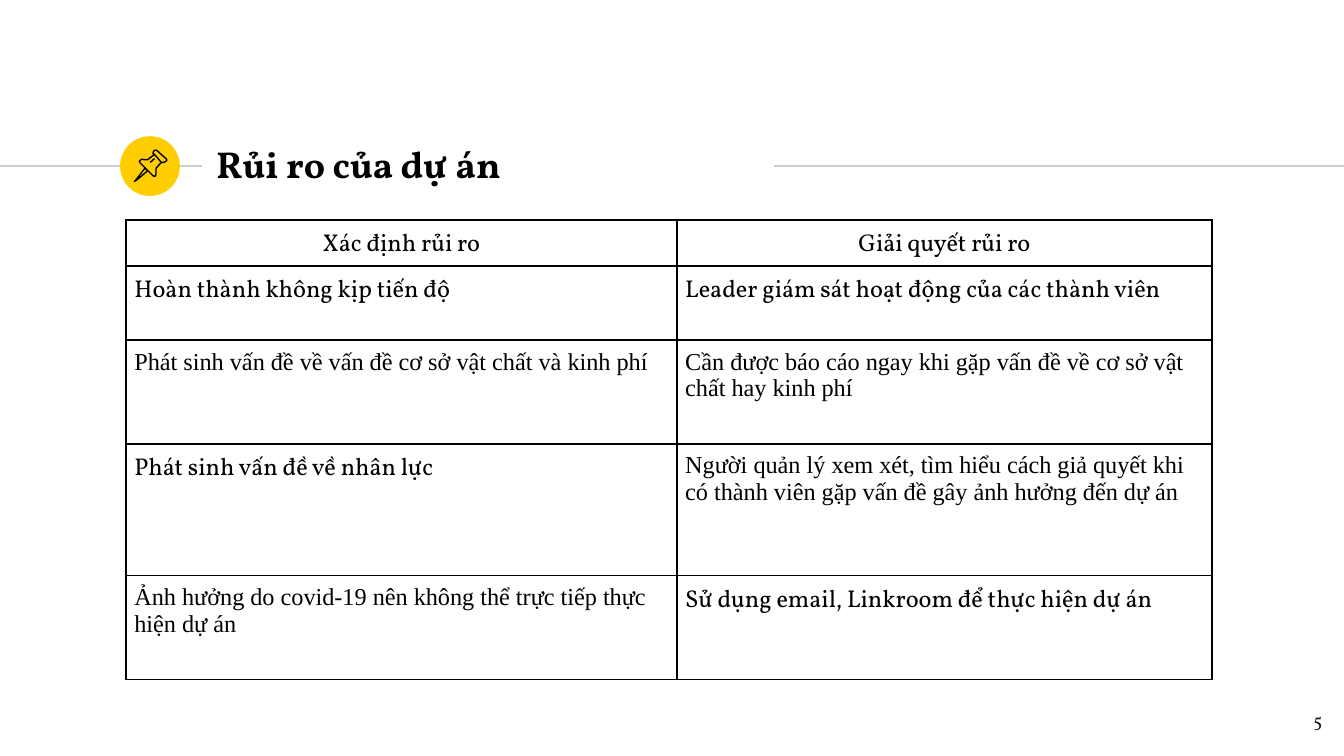
"""Build the project risk slide with its heading, pin badge and table."""
import pptx
import pptx.dml.color
import pptx.enum.shapes
import pptx.enum.text
import pptx.oxml
import pptx.oxml.ns
import pptx.util

Cm = pptx.util.Cm
Pt = pptx.util.Pt
ALIGN = pptx.enum.text.PP_ALIGN
ANCHOR = pptx.enum.text.MSO_ANCHOR

COLORS = {"ink": "000000", "rule": "CCCCCC", "badge": "FFCD00", "page": "1D1D1B"}
SERIF, TIMES = "Vollkorn", "Times New Roman"
RULE_Y = 3.14
COLS = [10.41, 10.11]
ROWS = [
    (0.86, ("Xác định rủi ro", SERIF), ("Giải quyết rủi ro", SERIF)),
    (1.4, ("Hoàn thành không kịp tiến độ", SERIF),
     ("Leader giám sát hoạt động của các thành viên", SERIF)),
    (1.96, ("Phát sinh vấn đề về vấn đề cơ sở vật chất và kinh phí", TIMES),
     ("Cần được báo cáo ngay khi gặp vấn đề về cơ sở vật chất hay kinh phí", TIMES)),
    (2.49, ("Phát sinh vấn đề về nhân lực", SERIF),
     ("Người quản lý xem xét, tìm hiểu cách giả quyết khi có thành viên "
      "gặp vấn đề gây ảnh hưởng đến dự án", TIMES)),
    (1.96, ("Ảnh hưởng do covid-19 nên không thể trực tiếp thực hiện dự án", TIMES),
     ("Sử dụng email, Linkroom để thực hiện dự án", SERIF)),
]
NEEDLE = [(274, 318), (257, 340), (254, 343), (259, 340), (279, 323)]
CAP = [(292, 292), (305, 307), (310, 307), (315, 304), (315, 301),
       (296, 284), (292, 284), (290, 287), (289, 290)]
BODY = [(292, 292), (279, 302), (274, 302), (268, 301), (264, 304), (264, 307),
        (290, 333), (294, 333), (295, 328), (295, 318), (305, 307)]
GLINT = [(284, 307), (292, 300)]
PIN = [(NEEDLE, True), (CAP, True), (BODY, False), (GLINT, False)]


class Painter:
    """Hold the style and draw each kind of element on the slide."""

    def __init__(self, slide):
        self.slide = slide
        self.shapes = slide.shapes

    def tint(self, name):
        return pptx.dml.color.RGBColor.from_string(COLORS[name])

    def stroke(self, line, color):
        line.color.rgb = self.tint(color)
        line.width = Pt(0.75)

    def letter(self, frame, text, size, font=SERIF, color="ink", bold=False, align=ALIGN.LEFT):
        frame.text = text
        frame.word_wrap = True
        para = frame.paragraphs[0]
        para.alignment = align
        for run in para.runs:
            run.font.name = font
            run.font.size = Pt(size)
            run.font.bold = bold
            run.font.color.rgb = self.tint(color)

    def label(self, box, text, size, anchor=ANCHOR.TOP, **style):
        frame = self.shapes.add_textbox(*map(Cm, box)).text_frame
        frame.margin_left = frame.margin_right = Cm(0.25)
        frame.margin_top = frame.margin_bottom = Cm(0.25)
        frame.vertical_anchor = anchor
        self.letter(frame, text, size, **style)

    def rule(self, start, end):
        line = self.shapes.add_connector(
            pptx.enum.shapes.MSO_CONNECTOR.STRAIGHT,
            Cm(start), Cm(RULE_Y), Cm(end), Cm(RULE_Y))
        self.stroke(line.line, "rule")
        line._element.spPr.append(pptx.oxml.parse_xml(
            f'<a:effectLst {pptx.oxml.ns.nsdecls("a")}/>'))

    def badge(self, left, size):
        disc = self.shapes.add_shape(
            pptx.enum.shapes.MSO_SHAPE.OVAL,
            Cm(left), Cm(RULE_Y - size / 2), Cm(size), Cm(size))
        disc.shadow.inherit = False
        disc.fill.solid()
        disc.fill.fore_color.rgb = self.tint("badge")
        disc.line.fill.background()

    def icon(self, parts):
        group = self.shapes.add_group_shape()
        for points, close in parts:
            pen = group.shapes.build_freeform(*points[0], scale=Cm(0.01))
            pen.add_line_segments(points[1:], close=close)
            shape = pen.convert_to_shape()
            shape.shadow.inherit = False
            shape.fill.background()
            self.stroke(shape.line, "ink")

    def border(self, cell):
        props = cell._tc.get_or_add_tcPr()
        for place, side in enumerate(("lnL", "lnR", "lnT", "lnB")):
            props.insert(place, pptx.oxml.parse_xml(
                f'<a:{side} {pptx.oxml.ns.nsdecls("a")} w="{Pt(1)}"><a:solidFill>'
                f'<a:srgbClr val="{COLORS["ink"]}"/></a:solidFill></a:{side}>'))

    def table(self, left, top, cols, rows):
        height = sum(row[0] for row in rows)
        grid = self.shapes.add_table(
            len(rows), len(cols), Cm(left), Cm(top), Cm(sum(cols)), Cm(height)).table
        grid.first_row = grid.horz_banding = False
        for col, width in zip(grid.columns, cols):
            col.width = Cm(width)
        for r, (tall, *texts) in enumerate(rows):
            grid.rows[r].height = Cm(tall)
            for c, (text, font) in enumerate(texts):
                cell = grid.cell(r, c)
                cell.margin_left = cell.margin_right = Cm(0.16)
                cell.margin_top = cell.margin_bottom = Cm(0.16)
                cell.fill.background()
                self.border(cell)
                self.letter(cell.text_frame, text, 13, font,
                            align=ALIGN.LEFT if r else ALIGN.CENTER)


def main():
    deck = pptx.Presentation()
    deck.slide_width, deck.slide_height = Cm(25.4), Cm(14.29)
    art = Painter(deck.slides.add_slide(deck.slide_layouts[6]))
    art.rule(0, 3.81)
    art.badge(2.27, 1.13)
    art.rule(14.63, 25.4)
    art.label((3.84, 2.49, 10.77, 1.22), "Rủi ro của dự án", 20, ANCHOR.MIDDLE, bold=True)
    art.icon(PIN)
    art.label((23.72, 13.18, 1.52, 1.09), "5", 10, color="page", align=ALIGN.RIGHT)
    art.table(2.38, 4.16, COLS, ROWS)
    deck.save("out.pptx")


if __name__ == "__main__":
    main()
